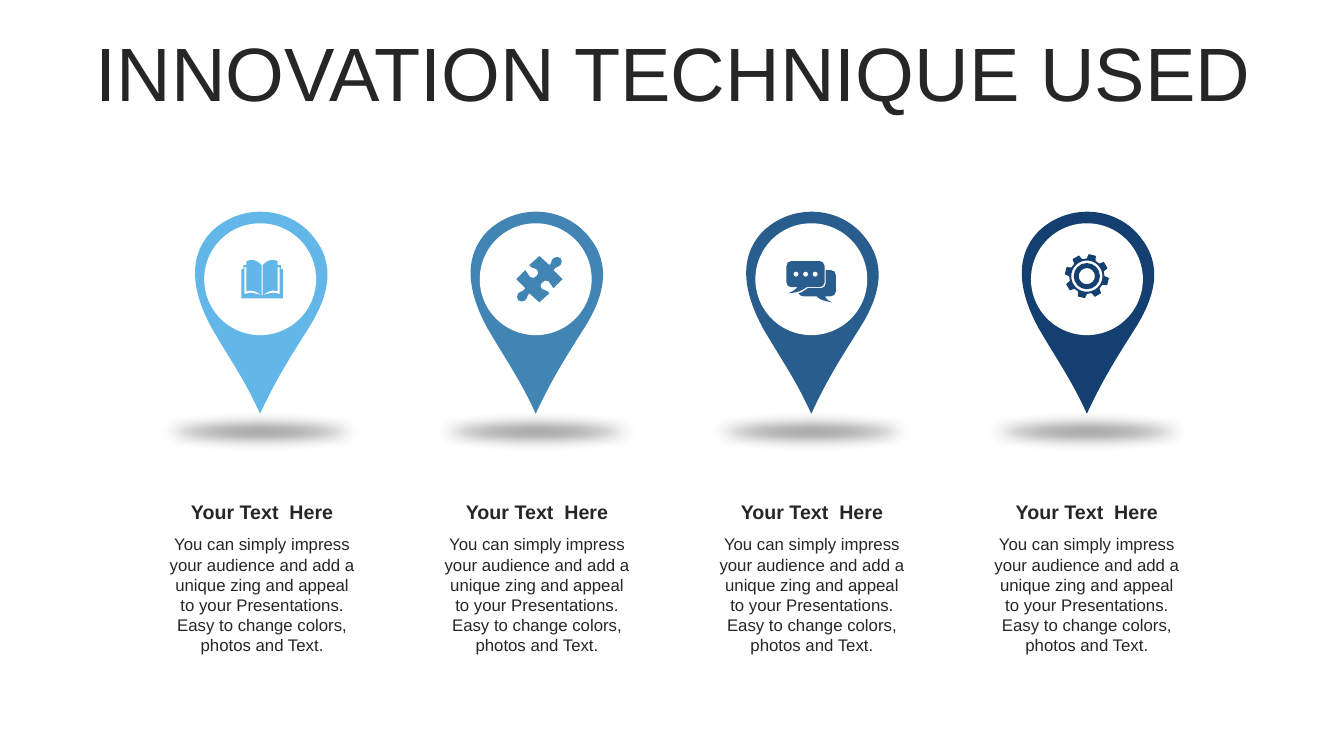
from math import cos, radians, sin

from lxml.etree import SubElement
from pptx import Presentation
from pptx.dml.color import RGBColor
from pptx.enum.shapes import MSO_SHAPE as Shape
from pptx.enum.text import MSO_ANCHOR as Anchor, MSO_AUTO_SIZE as AutoSize, PP_ALIGN as Align
from pptx.oxml.ns import qn
from pptx.util import Inches, Pt

FONT = "Arial"
INK = "262626"
COLORS = ["62B7E8", "4185B5", "285D8D", "134070"]
HEADING = "Your Text  Here"
BODY = ("You can simply impress your audience and add a unique zing and appeal "
        "to your Presentations. Easy to change colors, photos and Text.")

# Column centres in inches: first and last
PIN_SPAN, CAPTION_SPAN = (2.58, 10.78), (2.6, 10.78)
PIN_Y = 2.77

# Outlines in hundredths of an inch around their centre:
# two numbers are a corner, six numbers are a cubic curve
PIN = [(48, -66.5), (74, -39.5, 72, -8.5, 48, 29.5), (31, 56.5, 16, 79.5, 0, 114.5),
       (-16, 79.5, -30, 60.5, -48, 29.5), (-66, -3.5, -74, -39.5, -48, -66.5),
       (-21, -92.5, 22, -92.5, 48, -66.5)]
BOOK_HALF = [(0.5, 16), (7.5, 14, 10.5, 12, 17.5, 15), (17.5, -12), (15.5, -12),
             (15.5, 12), (10.5, 10, 5.5, 12, 0.5, 16), (0.5, -14),
             (3.5, -17, 6.5, -19, 9.5, -19), (11.5, -19, 13.5, -19, 15.5, -18),
             (15.5, -14), (18.5, -14), (18.5, -10), (20.5, -10), (20.5, 19)]
PUZZLE_HALF = [(21, -21), (22, -19, 23, -16, 21, -14), (19, -11, 16, -13, 14, -9),
               (23, 0), (14, 9), (11, 7, 12, 4, 9, 2), (7, 1, 4, 1, 3, 3),
               (1, 4, 0, 7, 3, 10), (6, 12, 7, 10, 10, 14), (0, 23), (-10, 14),
               (-13, 17, -11, 18, -14, 21), (-16, 23, -19, 22, -21, 21)]
FRONT_BUBBLE = [(-19, -19), (9, -19), (11, -19, 14, -17, 14, -14), (14, 2),
                (14, 5, 11, 7, 9, 7), (-4, 7), (-10, 11, -12, 12, -22, 13),
                (-16, 10, -16, 10, -13, 7), (-19, 7), (-22, 7, -24, 5, -24, 2),
                (-24, -14), (-24, -17, -22, -19, -19, -19)]
BACK_BUBBLE = [(15, -10), (20, -10), (23, -10, 25, -8, 25, -5), (25, 11),
               (25, 14, 23, 16, 20, 16), (14, 16), (16, 18, 15, 19, 21, 22),
               (12, 20, 10, 20, 6, 16), (-7, 16), (-9, 16, -11, 15, -12, 13),
               (-8, 12, -6, 10, -3, 8), (10, 8), (13, 8, 15, 6, 15, 3)]


def color(hex_text):
    return RGBColor.from_string(hex_text)


def spread(span, column):
    first, last = span
    return first + column * (last - first) / (len(COLORS) - 1)


# Outline geometry
def pairs(part):
    return list(zip(part[::2], part[1::2]))


def mirror(outline):
    """Flip an outline left to right and run it backwards."""
    points = [(-x, y) for part in outline for x, y in pairs(part)][::-1]
    flipped, position = [points[0]], 1
    for part in reversed(outline[1:]):
        count = len(part) // 2
        flipped.append(sum(points[position:position + count], ()))
        position += count
    return flipped


def polar(radius, degrees):
    return radius * sin(radians(degrees)), -radius * cos(radians(degrees))


def circle(r, x=0, y=0):
    k = 0.55 * r
    quarters = [(0, -r), (k, -r, r, -k, r, 0), (r, k, k, r, 0, r),
                (-k, r, -r, k, -r, 0), (-r, -k, -k, -r, 0, -r)]
    return [sum(((x + dx, y + dy) for dx, dy in pairs(part)), ()) for part in quarters]


def book():
    return [BOOK_HALF + mirror(BOOK_HALF)]


def puzzle():
    return [PUZZLE_HALF + [tuple(-value for value in part) for part in PUZZLE_HALF[1:]]]


def chat():
    return [BACK_BUBBLE, FRONT_BUBBLE] + [circle(2.6, x, -6) for x in (-14.5, -5, 4.5)]


def gear():
    teeth = [polar(radius, 14.5 + 45 * tooth + turn)
             for tooth in range(8)
             for radius, turn in ((17.5, -15), (22, -9.5), (22, 9.5), (17.5, 15))]
    return [teeth] + [circle(radius) for radius in (15.5, 13, 8)]


# Slide elements
def paint(shape, fill):
    shape.shadow.inherit = False
    shape.fill.solid()
    shape.fill.fore_color.rgb = color(fill)
    shape.line.fill.background()


def add_outline(shapes, contours, x, y, width, height, fill, rotation=0):
    left, top = Inches(x - width / 2), Inches(y - height / 2)
    right, bottom = left + Inches(width), top + Inches(height)
    builder = shapes.build_freeform(left, top)
    builder.add_line_segments([(right, top), (right, bottom), (left, bottom)])
    freeform = builder.convert_to_shape()
    # Fill the frame with corners and curves
    route = next(freeform._element.iter(qn("a:path")))
    for step in list(route):
        route.remove(step)
    turn_cos, turn_sin = cos(radians(rotation)), sin(radians(rotation))
    for contour in contours:
        for index, part in enumerate(contour):
            kind = "cubicBezTo" if len(part) == 6 else "lnTo" if index else "moveTo"
            step = SubElement(route, qn("a:" + kind))
            for dx, dy in pairs(part):
                px = dx * turn_cos + dy * turn_sin + width * 50
                py = dy * turn_cos - dx * turn_sin + height * 50
                SubElement(step, qn("a:pt"), x=str(Inches(px / 100)), y=str(Inches(py / 100)))
        SubElement(route, qn("a:close"))
    freeform.rotation = rotation
    paint(freeform, fill)


def add_ellipse(shapes, x, y, width, height, fill):
    ellipse = shapes.add_shape(Shape.OVAL, Inches(x - width / 2), Inches(y - height / 2),
                               Inches(width), Inches(height))
    paint(ellipse, fill)
    return ellipse


def add_ground_shadow(shapes, x, y):
    properties = add_ellipse(shapes, x, y, 2.79, 0.42, "404040")._element.spPr
    tint = properties.find(qn("a:solidFill")).find(qn("a:srgbClr"))
    SubElement(tint, qn("a:alpha"), val="58000")
    SubElement(properties.find(qn("a:effectLst")), qn("a:softEdge"), rad=str(Pt(10)))


def write(frame, text, size, bold=False):
    frame.word_wrap = True
    para = frame.paragraphs[0]
    para.alignment = Align.CENTER
    span = para.add_run()
    span.text = text
    span.font.name, span.font.size, span.font.bold = FONT, Pt(size), bold
    span.font.color.rgb = color(INK)
    return para


def add_text(shapes, x, y, height, text, size, bold=False, anchor=Anchor.TOP):
    width = 2.05
    box = shapes.add_textbox(Inches(x - width / 2), Inches(y), Inches(width), Inches(height))
    box.text_frame.auto_size = AutoSize.SHAPE_TO_FIT_TEXT
    box.text_frame.vertical_anchor = anchor
    write(box.text_frame, text, size, bold)


def add_title(page, text):
    title = page.shapes.title
    title.left, title.top = Inches(0.35), Inches(0.37)
    title.width, title.height = Inches(12.66), Inches(0.79)
    title.text_frame.auto_size = AutoSize.NONE
    title.text_frame.vertical_anchor = Anchor.MIDDLE
    write(title.text_frame, text, 54).line_spacing = 0.9


def main():
    deck = Presentation()
    deck.slide_width, deck.slide_height = Inches(13.33), Inches(7.5)
    page = deck.slides.add_slide(deck.slide_layouts[5])
    add_title(page, "INNOVATION TECHNIQUE USED")

    # Map pins
    for column, fill in enumerate(COLORS):
        x = spread(PIN_SPAN, column)
        pin = page.shapes.add_group_shape().shapes
        add_outline(pin, [PIN], x, 2.96, 1.61, 1.61, fill, 135)
        add_ellipse(pin, x, PIN_Y, 1.11, 1.11, "FFFFFF")
        add_ground_shadow(pin, x, 4.28)

    # Icons: contours, centre, size and rotation
    icons = [(book(), 2.6, 2.77, 0.41, 0.38, 0), (puzzle(), 5.35, 2.77, 0.33, 0.59, 45),
             (chat(), 8.04, 2.78, 0.49, 0.41, 0), (gear(), 10.78, 2.74, 0.44, 0.44, 0)]
    for fill, (contours, x, y, width, height, rotation) in zip(COLORS, icons):
        add_outline(page.shapes, contours, x, y, width, height, fill, rotation)

    # Captions
    for column in range(len(COLORS)):
        x = spread(CAPTION_SPAN, column)
        caption = page.shapes.add_group_shape().shapes
        add_text(caption, x, 4.91, 0.34, HEADING, 14, bold=True, anchor=Anchor.MIDDLE)
        add_text(caption, x, 5.25, 1.31, BODY, 12)

    deck.save("out.pptx")


if __name__ == "__main__":
    main()
